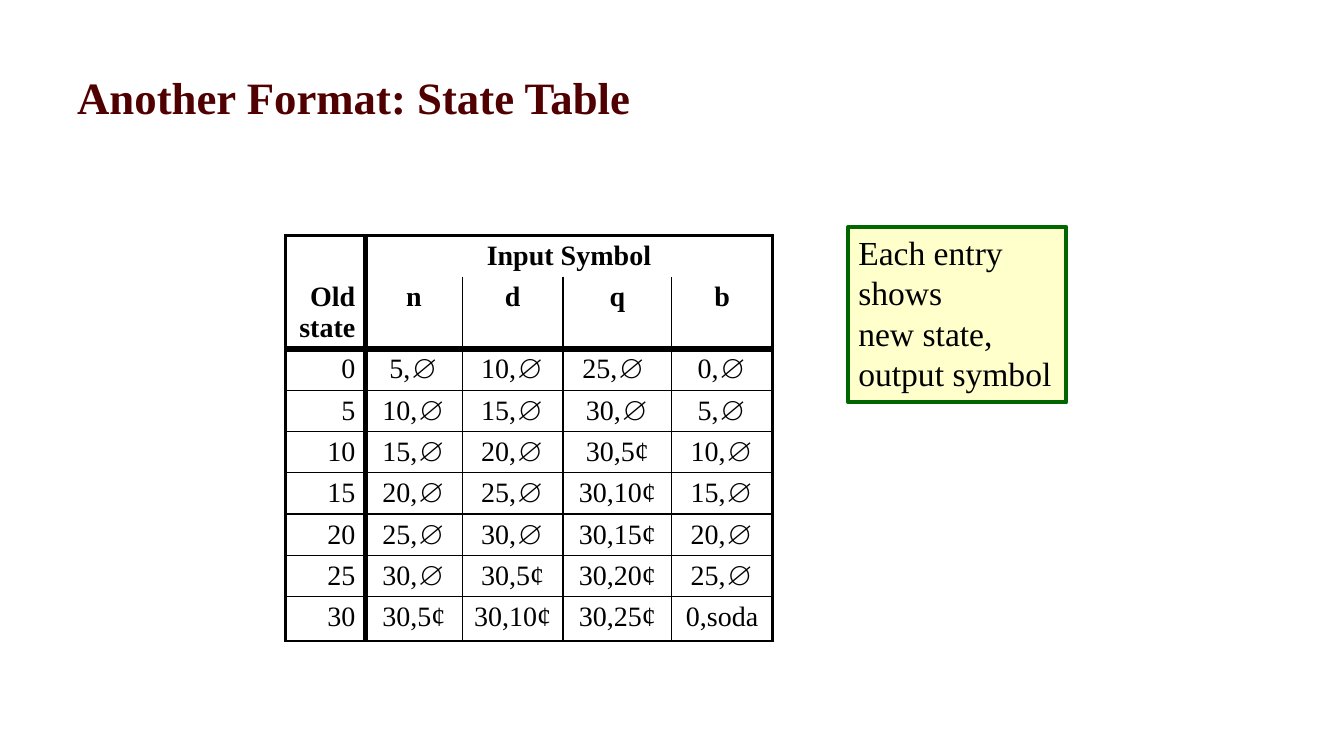
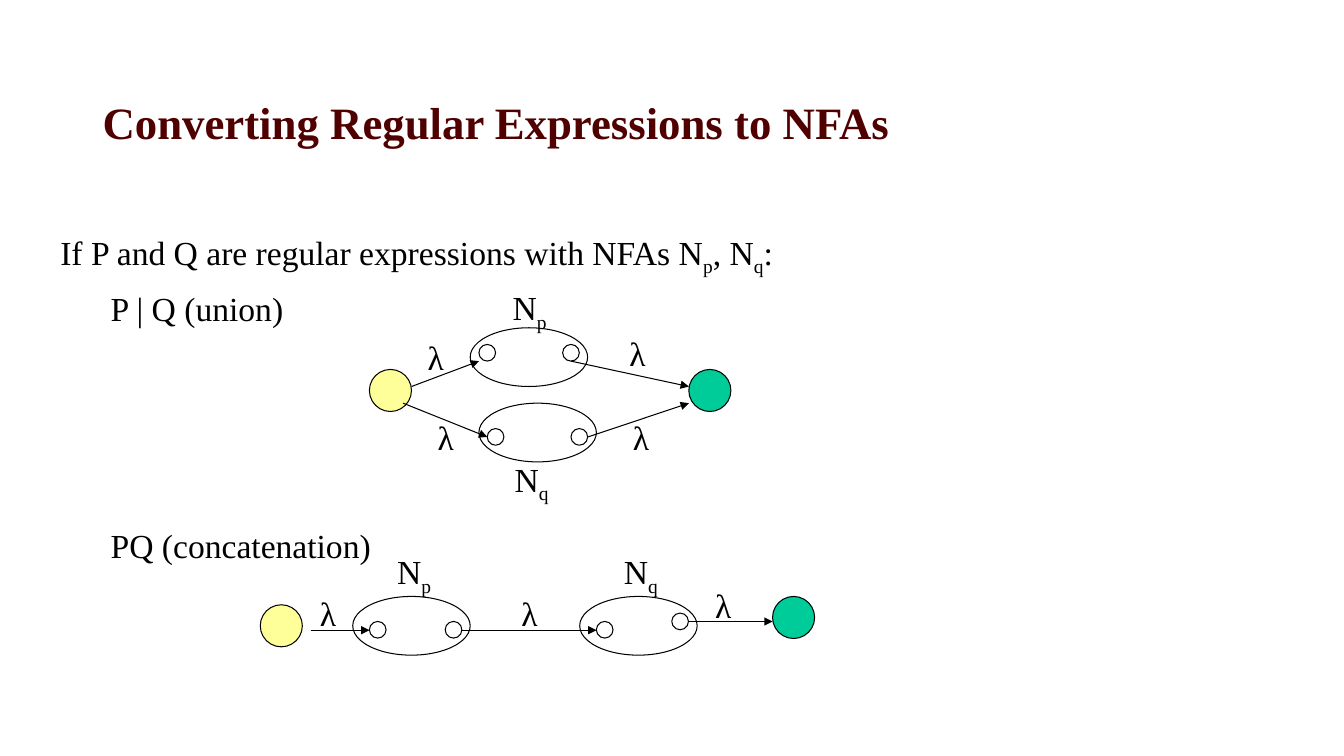
from lxml.etree import SubElement
from pptx import Presentation
from pptx.dml.color import RGBColor
from pptx.enum.shapes import MSO_CONNECTOR, MSO_SHAPE
from pptx.enum.text import MSO_ANCHOR, MSO_AUTO_SIZE, PP_ALIGN
from pptx.oxml.ns import qn
from pptx.util import Cm, Pt

COLORS = {
    "title": "500000", "ink": "000000", "paper": "FFFFFF",
    "note": "FFFFCC", "note_line": "006600",
    "start": "FFFF99", "final": "00CC99",
}
FONT = "Times New Roman"
TITLE_ONLY = 5
NO_GRID_STYLE = "{2D5ABB26-0587-4C30-8999-92F81FD0307C}"


def rgb(name):
    """Look up a named colour."""
    return RGBColor.from_string(COLORS[name])


def write(para, text, size=24, color="ink", bold=False, align=PP_ALIGN.LEFT,
          before=0, indent=0):
    """Fill a paragraph; ~ surrounds subscripts and a newline breaks the line."""
    para.alignment = align
    para.space_before = Pt(before)
    if indent:
        para._p.get_or_add_pPr().set("marL", str(Cm(indent)))
    for number, line in enumerate(text.split("\n")):
        if number:
            para.add_line_break()
        for index, piece in enumerate(line.split("~")):
            if not piece:
                continue
            span = para.add_run()
            span.text = piece
            span.font.name = FONT
            span.font.size = Pt(size)
            span.font.bold = bold
            span.font.color.rgb = rgb(color)
            if index % 2:
                span.font._element.set("baseline", "-25000")


def set_border(cell, side, width):
    """Draw one cell edge, or clear it when the width is zero."""
    edge = SubElement(cell._tc.get_or_add_tcPr(), qn(f"a:ln{side}"),
                      w=str(Pt(width)))
    if not width:
        SubElement(edge, qn("a:noFill"))
        return
    fill = SubElement(edge, qn("a:solidFill"))
    SubElement(fill, qn("a:srgbClr"), val=COLORS["ink"])


class Deck:
    """The shared style and the slide being built."""

    def __init__(self):
        """Start a widescreen presentation."""
        self.file = Presentation()
        self.file.slide_width = Cm(33.87)
        self.file.slide_height = Cm(19.05)
        self.page = None

    def add_page(self, title, *place):
        """Add a slide and format its title placeholder."""
        layout = self.file.slide_layouts[TITLE_ONLY]
        self.page = self.file.slides.add_slide(layout)
        box = self.page.shapes.title
        box.left, box.top, box.width, box.height = map(Cm, place)
        frame = box.text_frame
        frame.auto_size = MSO_AUTO_SIZE.NONE
        frame.vertical_anchor = MSO_ANCHOR.MIDDLE
        write(frame.paragraphs[0], title, size=32, color="title", bold=True)

    def text(self, place, *items, wrap=True):
        """Add a text box with one paragraph per (text, format) item."""
        box = self.page.shapes.add_textbox(*map(Cm, place))
        frame = box.text_frame
        frame.word_wrap = wrap
        for index, (text, style) in enumerate(items):
            para = frame.add_paragraph() if index else frame.paragraphs[0]
            write(para, text, **style)

    def label(self, text, left, top, width):
        """Add a centred diagram label."""
        self.text((left, top, width, 1.27),
                  (text, {"align": PP_ALIGN.CENTER}), wrap=False)

    def shape(self, kind, *place, fill=None, line="ink", weight=0.75):
        """Add an outlined preset shape, hollow unless a fill is named."""
        shape = self.page.shapes.add_shape(kind, *map(Cm, place))
        shape.shadow.inherit = False
        if fill:
            shape.fill.solid()
            shape.fill.fore_color.rgb = rgb(fill)
        else:
            shape.fill.background()
        shape.line.color.rgb = rgb(line)
        shape.line.width = Pt(weight)
        return shape

    def note(self, text, *place):
        """Add a filled note."""
        box = self.shape(MSO_SHAPE.RECTANGLE, *place, fill="note",
                         line="note_line", weight=3)
        frame = box.text_frame
        frame.word_wrap = False
        frame.vertical_anchor = MSO_ANCHOR.TOP
        write(frame.paragraphs[0], text)

    def arrow(self, *ends):
        """Add a thin arrow between two points."""
        arrow = self.page.shapes.add_connector(MSO_CONNECTOR.STRAIGHT,
                                               *map(Cm, ends))
        arrow.line.color.rgb = rgb("ink")
        arrow.line.width = Pt(0.75)
        SubElement(arrow.line._get_or_add_ln(), qn("a:tailEnd"),
                   type="triangle")
        SubElement(arrow._element.spPr, qn("a:effectLst"))

    def state_table(self, left, top, widths, heights, rows):
        """Add the state table with its two-row heading."""
        frame = self.page.shapes.add_table(
            len(rows), len(widths), Cm(left), Cm(top),
            Cm(sum(widths)), Cm(sum(heights)))
        table = frame.table
        table.first_row = table.horz_banding = False
        table._tbl.tblPr.find(qn("a:tableStyleId")).text = NO_GRID_STYLE
        for column, width in zip(table.columns, widths):
            column.width = Cm(width)
        for row, height in zip(table.rows, heights):
            row.height = Cm(height)
        table.cell(0, 0).merge(table.cell(1, 0))
        table.cell(0, 1).merge(table.cell(0, len(widths) - 1))

        across = [2.25, 0, 4.5] + [1] * (len(rows) - 3) + [2.25]
        for r, row in enumerate(rows):
            inner = 1 if r else 0
            down = [2.25, 4.5] + [inner] * (len(widths) - 2) + [2.25]
            for c, text in enumerate(row):
                cell = table.cell(r, c)
                set_border(cell, "L", down[c])
                set_border(cell, "R", down[c + cell.span_width])
                set_border(cell, "T", across[r])
                set_border(cell, "B", across[r + cell.span_height])
                cell.fill.solid()
                cell.fill.fore_color.rgb = rgb("paper")
                if text:
                    align = PP_ALIGN.CENTER if c else PP_ALIGN.RIGHT
                    write(cell.text_frame.paragraphs[0], text, size=20,
                          bold=r < 2, align=align)
        table.cell(0, 0).vertical_anchor = MSO_ANCHOR.BOTTOM


def state_table_page(deck):
    """Build the state table slide."""
    deck.add_page("Another Format: State Table", 1.69, 0.85, 30.48, 3.18)
    rows = [
        ["Old state", "Input Symbol", "", "", ""],
        ["", "n", "d", "q", "b"],
        ["0", "5,∅", "10,∅", "25,∅ ", "0,∅"],
        ["5", "10,∅", "15,∅", "30,∅", "5,∅"],
        ["10", "15,∅", "20,∅", "30,5¢", "10,∅"],
        ["15", "20,∅", "25,∅", "30,10¢", "15,∅"],
        ["20", "25,∅", "30,∅", "30,15¢", "20,∅"],
        ["25", "30,∅", "30,5¢", "30,20¢", "25,∅"],
        ["30", "30,5¢", "30,10¢", "30,25¢", "0,soda"],
    ]
    deck.state_table(7.2, 5.93, [2.01, 2.44, 2.54, 2.74, 2.54],
                     [1.04, 1.8] + [1.04] * 6 + [1.12], rows)
    deck.note("Each entry\nshows\nnew state,\noutput symbol",
              21.38, 5.72, 5.49, 4.42)


def conversion_page(deck):
    """Build the slide that joins automata by union and concatenation."""
    deck.add_page("Converting Regular Expressions to NFAs",
                  2.33, 1.69, 28.58, 2.75)
    deck.text((1.27, 5.72, 26.46, 11.43),
              ("If P and Q are regular expressions with NFAs N~p~, N~q~:", {}),
              ("P | Q (union)", {"before": 7, "indent": 1.27}),
              ("PQ (concatenation)", {"before": 141, "indent": 1.27}))

    machines = [(11.85, 8.26), (12.07, 10.16), (8.89, 15.03), (14.61, 15.03)]
    for left, top in machines:
        deck.shape(MSO_SHAPE.OVAL, left, top, 2.96, 1.48)
    inner_states = [(12.07, 8.68), (14.18, 8.68), (12.28, 10.8), (14.39, 10.8),
                    (9.31, 15.66), (11.22, 15.66), (15.03, 15.66),
                    (16.93, 15.45)]
    for left, top in inner_states:
        deck.shape(MSO_SHAPE.OVAL, left, top, 0.42, 0.42)
    outer_states = [("start", 9.31, 9.31), ("final", 17.36, 9.31),
                    ("start", 6.56, 15.24), ("final", 19.47, 15.03)]
    for role, left, top in outer_states:
        deck.shape(MSO_SHAPE.OVAL, left, top, 1.06, 1.06, fill=role)

    moves = [(10.37, 9.74, 12.07, 9.1), (10.16, 10.16, 12.28, 11.01),
             (14.39, 9.1, 17.36, 9.74), (14.82, 11.01, 17.36, 10.16),
             (7.83, 15.88, 9.31, 15.88), (11.64, 15.88, 15.03, 15.88),
             (17.36, 15.66, 19.47, 15.66)]
    for ends in moves:
        deck.arrow(*ends)

    names = [("N~p~", 12.65, 7.11), ("N~q~", 12.7, 11.43),
             ("N~p~", 9.74, 13.76), ("N~q~", 15.45, 13.76)]
    for name, left, top in names:
        deck.label(name, left, top, 1.4)
    lambdas = [(10.49, 8.36), (10.74, 10.37), (15.57, 8.26), (15.66, 10.37),
               (7.77, 14.82), (12.85, 14.82), (17.73, 14.61)]
    for left, top in lambdas:
        deck.label("λ", left, top, 0.99)


def main():
    """Build and save both slides."""
    deck = Deck()
    state_table_page(deck)
    conversion_page(deck)
    deck.file.save("out.pptx")


main()
